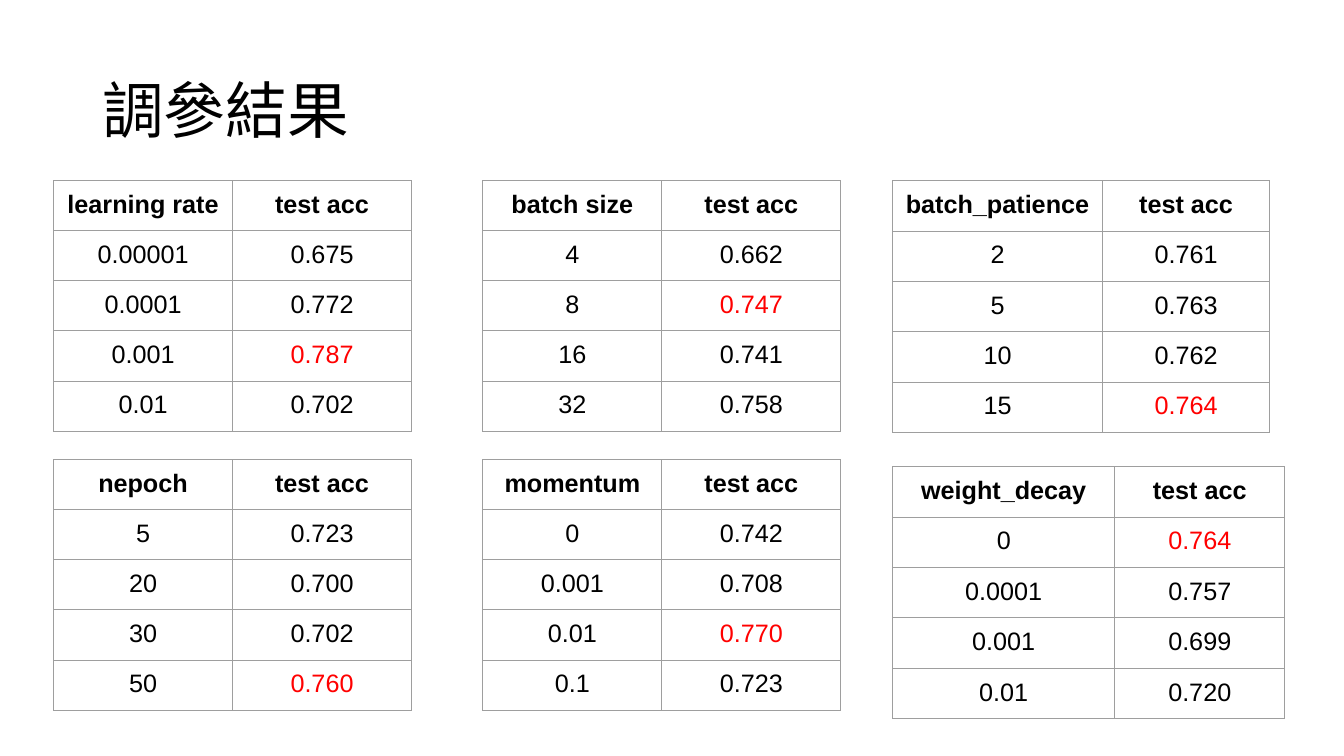
import pptx
import pptx.dml.color
import pptx.enum.text
import pptx.oxml
import pptx.oxml.ns
import pptx.util

Cm, Pt = pptx.util.Cm, pptx.util.Pt
COLORS = {"text": "000000", "best": "FF0000", "border": "9E9E9E"}
CELL_MARGINS = dict.fromkeys(
    ("margin_left", "margin_right", "margin_top", "margin_bottom"), Cm(0.25))
PLAIN_TABLE = {"first_row": False, "horz_banding": False}

LEFTS = (1.35, 12.17, 22.5)
UPPER, LOWER, LOWER_RIGHT = 4.55, 11.58, 11.76
EVEN_COLUMNS = (4.51, 4.51)
LOW_ROW, TALL_ROW = 1.1, 1.27

# left, top, column widths, row height, parameter, results, best setting
RESULTS = [
    (LEFTS[0], UPPER, EVEN_COLUMNS, LOW_ROW, "learning rate",
     {"0.00001": "0.675", "0.0001": "0.772", "0.001": "0.787", "0.01": "0.702"}, "0.001"),
    (LEFTS[1], UPPER, EVEN_COLUMNS, LOW_ROW, "batch size",
     {"4": "0.662", "8": "0.747", "16": "0.741", "32": "0.758"}, "8"),
    (LEFTS[2], UPPER, (5.28, 4.22), TALL_ROW, "batch_patience",
     {"2": "0.761", "5": "0.763", "10": "0.762", "15": "0.764"}, "15"),
    (LEFTS[0], LOWER, EVEN_COLUMNS, LOW_ROW, "nepoch",
     {"5": "0.723", "20": "0.700", "30": "0.702", "50": "0.760"}, "50"),
    (LEFTS[1], LOWER, EVEN_COLUMNS, LOW_ROW, "momentum",
     {"0": "0.742", "0.001": "0.708", "0.01": "0.770", "0.1": "0.723"}, "0.01"),
    (LEFTS[2], LOWER_RIGHT, (5.59, 4.29), TALL_ROW, "weight_decay",
     {"0": "0.764", "0.0001": "0.757", "0.001": "0.699", "0.01": "0.720"}, "0"),
]


def apply_format(target, values):
    for attribute, value in values.items():
        setattr(target, attribute, value)


def style_font(font, color, **values):
    apply_format(font, values)
    font.color.rgb = pptx.dml.color.RGBColor.from_string(COLORS[color])


def add_borders(cell):
    properties = cell._tc.get_or_add_tcPr()
    for position, side in enumerate(("lnL", "lnR", "lnT", "lnB")):
        properties.insert(position, pptx.oxml.parse_xml(
            f'<a:{side} {pptx.oxml.ns.nsdecls("a")} w="{Pt(0.75)}"><a:solidFill>'
            f'<a:srgbClr val="{COLORS["border"]}"/></a:solidFill></a:{side}>'))


def add_title(slide, left, top, width, height, wording):
    frame = slide.shapes.add_textbox(Cm(left), Cm(top), Cm(width), Cm(height)).text_frame
    apply_format(frame, {"word_wrap": True,
                         "vertical_anchor": pptx.enum.text.MSO_ANCHOR.MIDDLE})
    title = frame.paragraphs[0]
    title.text = wording
    title.line_spacing = 0.9
    style_font(title.runs[0].font, "text", name="Calibri", size=Pt(44))


def fill_cell(cell, wording, color, bold):
    apply_format(cell, CELL_MARGINS)
    cell.fill.background()
    add_borders(cell)
    paragraph = cell.text_frame.paragraphs[0]
    paragraph.text = wording
    paragraph.alignment = pptx.enum.text.PP_ALIGN.CENTER
    style_font(paragraph.runs[0].font, color, name="Arial", size=Pt(18), bold=bold)


def add_result_table(slide, left, top, widths, row_height, parameter, results, best):
    """Place one tuning table, its best accuracy in red."""
    lines = [(parameter, "test acc"), *results.items()]
    table = slide.shapes.add_table(
        len(lines), len(widths), Cm(left), Cm(top),
        Cm(sum(widths)), Cm(row_height * len(lines))).table
    apply_format(table, PLAIN_TABLE)
    for column, width in zip(table.columns, widths):
        column.width = Cm(width)
    for row, (setting, accuracy) in enumerate(lines):
        table.rows[row].height = Cm(row_height)
        fill_cell(table.cell(row, 0), setting, "text", row == 0)
        fill_cell(table.cell(row, 1), accuracy,
                  "best" if setting == best else "text", row == 0)


def main():
    deck = pptx.Presentation()
    apply_format(deck, {"slide_width": Cm(33.87), "slide_height": Cm(19.05)})
    slide = deck.slides.add_slide(deck.slide_layouts[6])
    add_title(slide, 2.33, 1.01, 29.21, 3.68, "調參結果")
    for result in RESULTS:
        add_result_table(slide, *result)
    deck.save("out.pptx")


if __name__ == "__main__":
    main()
